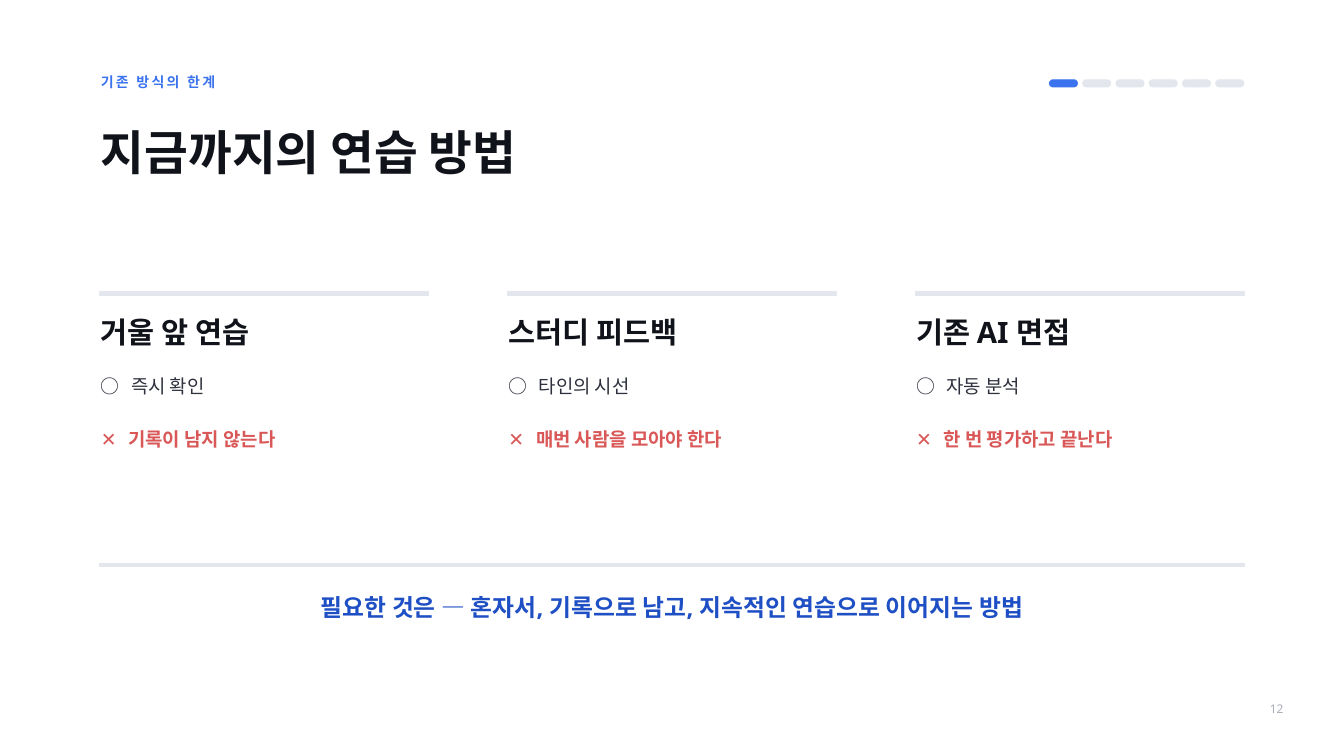
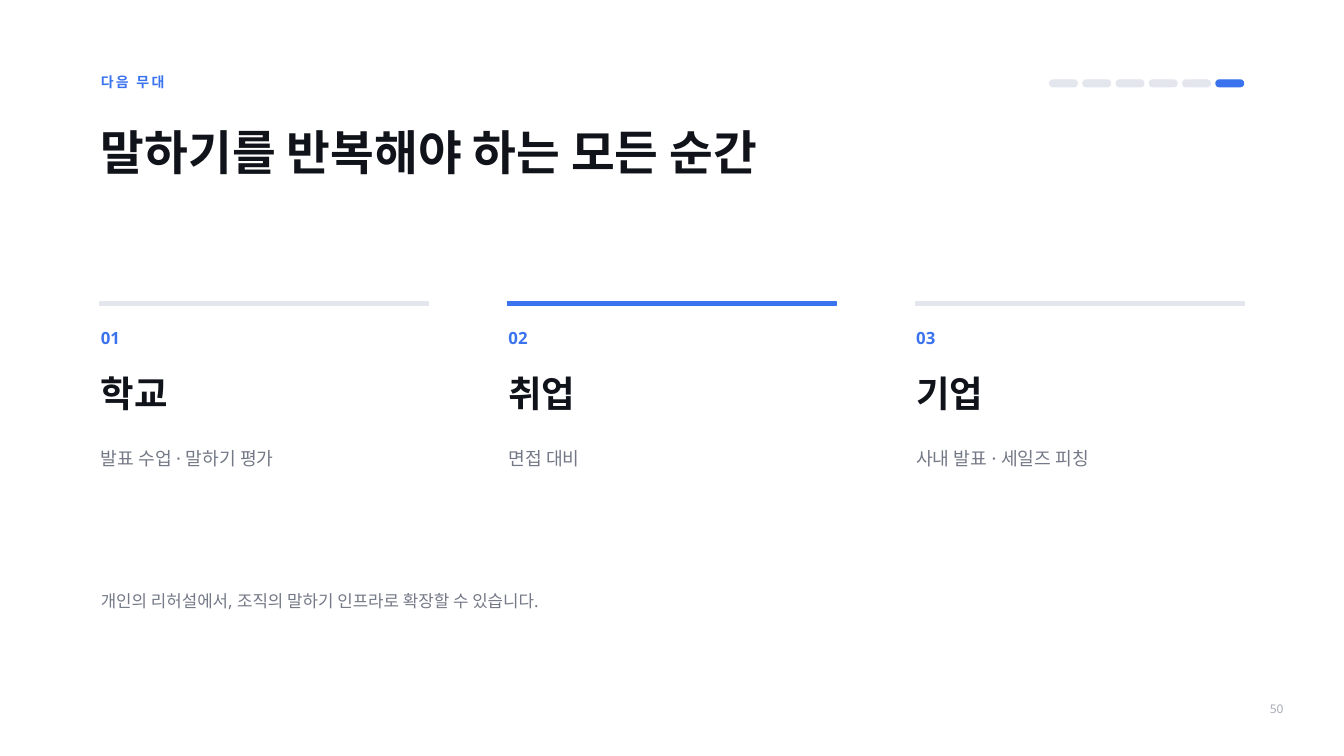
from lxml import etree
from pptx import Presentation
from pptx import util as u
from pptx.dml.color import RGBColor
from pptx.enum import shapes, text
from pptx.oxml.ns import qn

COLORS = {
    "ink": "11131B", "body": "2E313D", "muted": "747987", "page": "A9ADB8",
    "rule": "E4E6EE", "accent": "3B73EE", "deep": "1F4FC4", "warning": "D95757",
}
FONT = "Noto Sans"
CELL = 0.5
MARGIN, CONTENT, GUTTER = 3, 34, 2.4
TRACK = (CONTENT - 2 * GUTTER) / 3
STEPS = 6
LEFT, CENTER, RIGHT = text.PP_ALIGN.LEFT, text.PP_ALIGN.CENTER, text.PP_ALIGN.RIGHT


def cells(count):
    return u.Inches(count * CELL)


def track_left(index):
    return MARGIN + index * (TRACK + GUTTER)


class Deck:
    def __init__(self):
        self.prs = Presentation()
        self.prs.slide_width, self.prs.slide_height = cells(40), cells(22.5)
        self.slide = None

    def new_slide(self, section, title, step, page):
        self.slide = self.prs.slides.add_slide(self.prs.slide_layouts[5])
        heading = self.slide.shapes.title
        heading.left, heading.top = cells(MARGIN), cells(3.32)
        heading.width, heading.height = cells(CONTENT), cells(2.82)
        self.set_words(heading, title, 51, "ink", 73.4, bold=True)
        for index in range(STEPS):
            self.bar(31.24 + index * 0.99, 2.38, 0.82, 0.2,
                     "accent" if index == step else "rule", rounded=True)
        self.label(section, MARGIN, 2.18, 19.5, 0.84, 15, "accent", 18,
                   bold=True, tracking=2.4)
        self.label(str(page), 36.7, 20.74, 1.5, 0.68, 12.8, "page", 15.3,
                   align=RIGHT, anchor=text.MSO_ANCHOR.MIDDLE)

    def set_words(self, shape, words, size, color, leading, bold=False, align=LEFT,
                  anchor=text.MSO_ANCHOR.TOP, tracking=None, tab=None):
        frame = shape.text_frame
        frame.word_wrap = True
        frame.auto_size = text.MSO_AUTO_SIZE.NONE
        frame.vertical_anchor = anchor
        frame.margin_left = frame.margin_right = 0
        frame.margin_top = frame.margin_bottom = 0
        paragraph = frame.paragraphs[0]
        paragraph.text = words
        paragraph.alignment = align
        paragraph.line_spacing = u.Pt(leading)
        if tab:
            stops = etree.SubElement(paragraph._p.get_or_add_pPr(), qn("a:tabLst"))
            etree.SubElement(stops, qn("a:tab"), pos=str(u.Inches(tab)), algn="l")
        font = paragraph.font
        font.name, font.size, font.bold = FONT, u.Pt(size), bold
        font.color.rgb = RGBColor.from_string(COLORS[color])
        if tracking:
            font._rPr.set("spc", str(int(tracking * 100)))

    def label(self, words, left, top, width, height, size, color, leading, **style):
        box = self.slide.shapes.add_textbox(
            cells(left), cells(top), cells(width), cells(height))
        self.set_words(box, words, size, color, leading, **style)

    def bar(self, left, top, width, height, color, rounded=False):
        kind = shapes.MSO_SHAPE.ROUNDED_RECTANGLE if rounded else shapes.MSO_SHAPE.RECTANGLE
        shape = self.slide.shapes.add_shape(
            kind, cells(left), cells(top), cells(width), cells(height))
        if rounded:
            shape.adjustments[0] = 0.5
        shape.shadow.inherit = False
        rgb = RGBColor.from_string(COLORS[color])
        shape.fill.solid()
        shape.fill.fore_color.rgb = rgb
        shape.line.color.rgb = rgb
        shape.line.width = u.Pt(1.5)

    def rule(self, left, top, width, height, color="rule"):
        self.bar(left - 0.02, top, width + 0.04, height, color)

    def save(self):
        self.prs.save("out.pptx")


def practice_methods(deck):
    deck.new_slide("기존 방식의 한계", "지금까지의 연습 방법", 0, 12)
    methods = [
        ("거울 앞 연습", "즉시 확인", "기록이 남지 않는다"),
        ("스터디 피드백", "타인의 시선", "매번 사람을 모아야 한다"),
        ("기존 AI 면접", "자동 분석", "한 번 평가하고 끝난다"),
    ]
    for index, (method, strength, limit) in enumerate(methods):
        left = track_left(index)
        deck.rule(left, 8.68, TRACK, 0.12)
        deck.label(method, left, 9.36, TRACK, 1.36, 31.5, "ink", 37.8, bold=True)
        deck.label(f"○\t{strength}", left, 11.14, TRACK, 1.22, 20.2, "body", 24.3, tab=0.45)
        deck.label(f"✕\t{limit}", left, 12.48, TRACK, 2.58, 20.2, "warning", 32.8,
                   bold=True, tab=0.41)
    deck.rule(MARGIN, 16.78, CONTENT, 0.08)
    deck.label("필요한 것은 — 혼자서, 기록으로 남고, 지속적인 연습으로 이어지는 방법",
               MARGIN, 17.64, CONTENT, 0.84, 25.5, "deep", 30.6, bold=True, align=CENTER)


def next_stages(deck):
    deck.new_slide("다음 무대", "말하기를 반복해야 하는 모든 순간", 5, 50)
    stages = [
        ("학교", "발표 수업 · 말하기 평가", "rule"),
        ("취업", "면접 대비", "accent"),
        ("기업", "사내 발표 · 세일즈 피칭", "rule"),
    ]
    for index, (stage, uses, color) in enumerate(stages):
        left = track_left(index)
        deck.rule(left, 8.98, TRACK, 0.12, color)
        deck.label(f"{index + 1:02}", left, 9.74, 3, 0.94, 18, "accent", 21.6, bold=True)
        deck.label(stage, left, 11.04, TRACK, 1.64, 39, "ink", 46.8, bold=True)
        deck.label(uses, left, 13.08, TRACK, 1.98, 19.5, "muted", 31.6)
    deck.label("개인의 리허설에서, 조직의 말하기 인프라로 확장할 수 있습니다.",
               MARGIN, 17.58, CONTENT, 0.94, 18, "muted", 21.6)


def main():
    deck = Deck()
    practice_methods(deck)
    next_stages(deck)
    deck.save()


if __name__ == "__main__":
    main()
